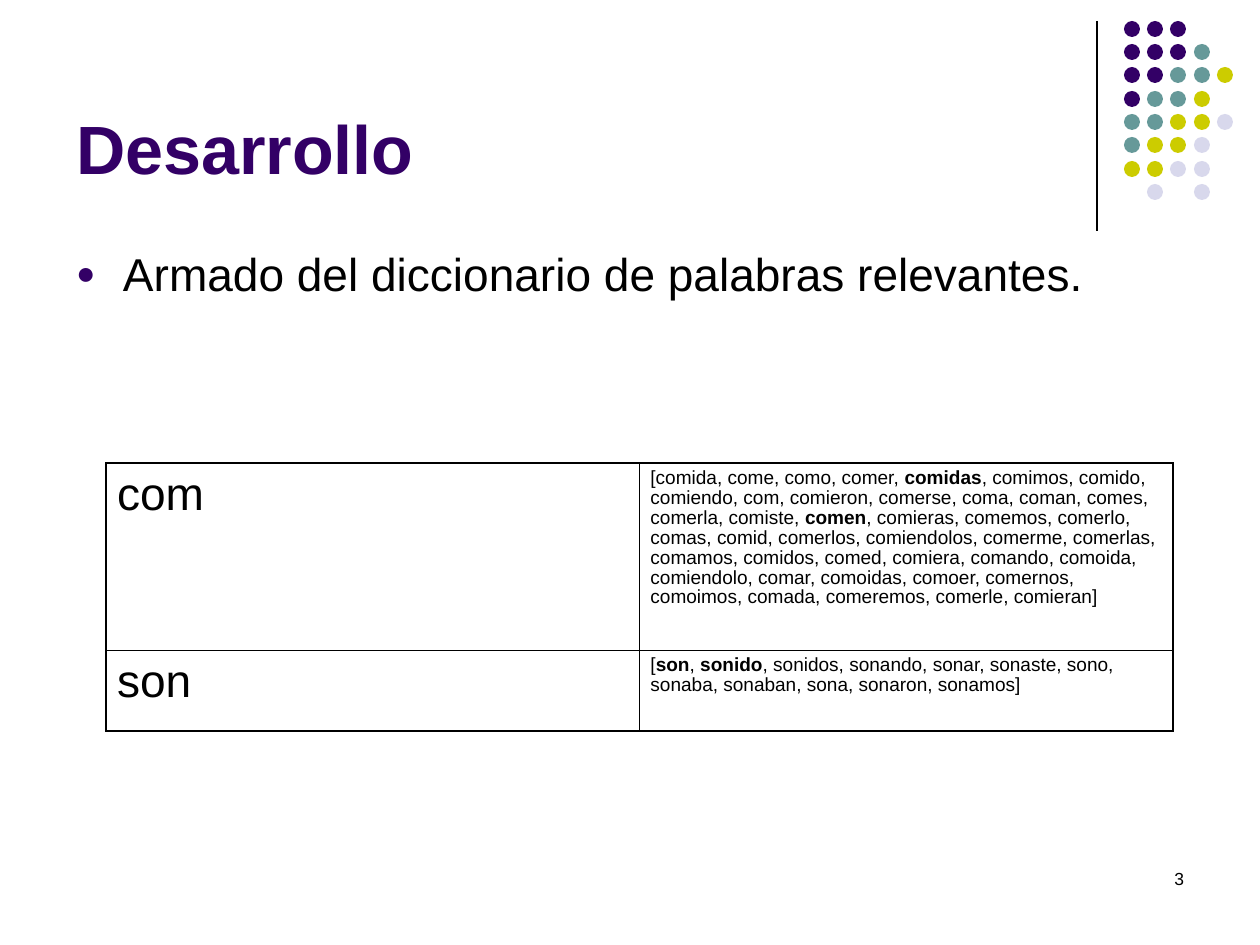
import pptx
import pptx.dml.color
import pptx.enum.shapes
import pptx.enum.text
import pptx.oxml
import pptx.oxml.ns
import pptx.util

SCALE = 8000
FONT = "Arial"
COLORS = {"ink": "000000", "P": "330066", "T": "669999", "Y": "CCCC00", "L": "D8D8EC"}
ANCHOR = pptx.enum.text.MSO_ANCHOR
ALIGN = pptx.enum.text.PP_ALIGN
SHAPES = pptx.enum.shapes
NS = pptx.oxml.ns.nsdecls("a")
DOTS = ["PPP", "PPPT", "PPTTY", "PTTY", "TTYYL", "TYYL", "YYLL", " L L"]
WORDS = [
    ("com", "[comida, come, como, comer, *comidas*, comimos, comido, comiendo, com, "
     "comieron, comerse, coma, coman, comes, comerla, comiste, *comen*, comieras, "
     "comemos, comerlo, comas, comid, comerlos, comiendolos, comerme, comerlas, "
     "comamos, comidos, comed, comiera, comando, comoida, comiendolo, comar, "
     "comoidas, comoer, comernos, comoimos, comada, comeremos, comerle, comieran]"),
    ("son", "[*son*, *sonido*, sonidos, sonando, sonar, sonaste, sono, sonaba, "
     "sonaban, sona, sonaron, sonamos]"),
]


def px(*sizes):
    """Turn pixel lengths into EMU."""
    return [pptx.util.Emu(size * SCALE) for size in sizes]


def tint(name):
    """Return a named colour."""
    return pptx.dml.color.RGBColor.from_string(COLORS[name])


def node(text):
    """Parse an element in the drawing namespace."""
    return pptx.oxml.parse_xml(text.replace("NS", NS))


def write(frame, text, size, color="ink", bold=False, align=ALIGN.LEFT,
          space=None, bullet=None):
    """Fill a text frame, with bold words set between asterisks."""
    frame.word_wrap = True
    para = frame.paragraphs[0]
    para.alignment = align
    if space:
        para.line_spacing = space
    if bullet:
        props = para._p.get_or_add_pPr()
        props.set("marL", str(47 * SCALE))
        props.set("indent", str(-47 * SCALE))
        props.append(node(f'<a:buClr NS><a:srgbClr val="{COLORS["P"]}"/></a:buClr>'))
        props.append(node('<a:buSzPct NS val="70000"/>'))
        props.append(node(f'<a:buFont NS typeface="{FONT}"/>'))
        props.append(node(f'<a:buChar NS char="{bullet}"/>'))
    for index, part in enumerate(text.split("*")):
        run = para.add_run()
        run.text = part
        run.font.name = FONT
        run.font.size = pptx.util.Pt(size)
        run.font.bold = bold or index % 2 == 1
        run.font.color.rgb = tint(color)


def label(slide, box, text, size, anchor=ANCHOR.TOP, **style):
    """Add a text box."""
    frame = slide.shapes.add_textbox(*px(*box)).text_frame
    frame.margin_left, frame.margin_right = px(13, 13)
    frame.margin_top, frame.margin_bottom = px(7, 7)
    frame.vertical_anchor = anchor
    write(frame, text, size, **style)


def motif(slide, box):
    """Draw the rule and the field of dots in the corner."""
    left, top, width, height = box
    rule = slide.shapes.add_connector(SHAPES.MSO_CONNECTOR.STRAIGHT,
                                      *px(left, top, left, top + height))
    rule.line.color.rgb = tint("ink")
    rule.line.width = pptx.util.Pt(0.75)
    rule._element.spPr.append(node("<a:effectLst NS/>"))
    size = 16
    step = (width - 27 - size) / 4
    group = slide.shapes.add_group_shape()
    for row, line in enumerate(DOTS):
        for col, key in enumerate(line):
            if key == " ":
                continue
            spot = (left + 27 + round(col * step), top + round(row * step), size, size)
            dot = group.shapes.add_shape(SHAPES.MSO_SHAPE.OVAL, *px(*spot))
            dot.shadow.inherit = False
            dot.fill.solid()
            dot.fill.fore_color.rgb = tint(key)
            dot.line.fill.background()


def border(cell, sides):
    """Set the cell borders, given widths by side."""
    props = cell._tc.get_or_add_tcPr()
    for index, (side, width) in enumerate(sides.items()):
        props.insert(index, node(
            f'<a:ln{side} NS w="{pptx.util.Pt(width)}"><a:solidFill>'
            f'<a:srgbClr val="{COLORS["ink"]}"/></a:solidFill></a:ln{side}>'))


def lexicon(slide, box):
    """Draw the table of stems and their words."""
    table = slide.shapes.add_table(2, 2, *px(*box)).table
    table.first_row = table.horz_banding = False
    tall = 187
    for row, high in zip(table.rows, px(tall, box[3] - tall)):
        row.height = high
    thin, thick = 0.45, 1.08
    for row, words in enumerate(WORDS):
        for col, text in enumerate(words):
            cell = table.cell(row, col)
            cell.margin_left, cell.margin_right = px(11, 11)
            cell.margin_top, cell.margin_bottom = px(6, 6)
            cell.fill.background()
            border(cell, {"L": thin if col else thick, "R": thick if col else thin,
                          "T": thin if row else thick, "B": thick if row else thin})
            write(cell.text_frame, text, 12 if col else 29, space=0.93 if col else None)


def main():
    """Build the slide and save it."""
    deck = pptx.Presentation()
    deck.slide_width, deck.slide_height = px(1260, 945)
    slide = deck.slides.add_slide(deck.slide_layouts[6])
    motif(slide, (1097, 21, 136, 210))
    label(slide, (63, 17, 1039, 178), "Desarrollo", 43, ANCHOR.BOTTOM,
          color="P", bold=True)
    label(slide, (63, 237, 1119, 73), "Armado del diccionario de palabras relevantes.",
          29, ANCHOR.MIDDLE, bullet="●")
    lexicon(slide, (106, 463, 1067, 268))
    label(slide, (903, 861, 294, 63), "3", 11, align=ALIGN.RIGHT)
    deck.save("out.pptx")


if __name__ == "__main__":
    main()
